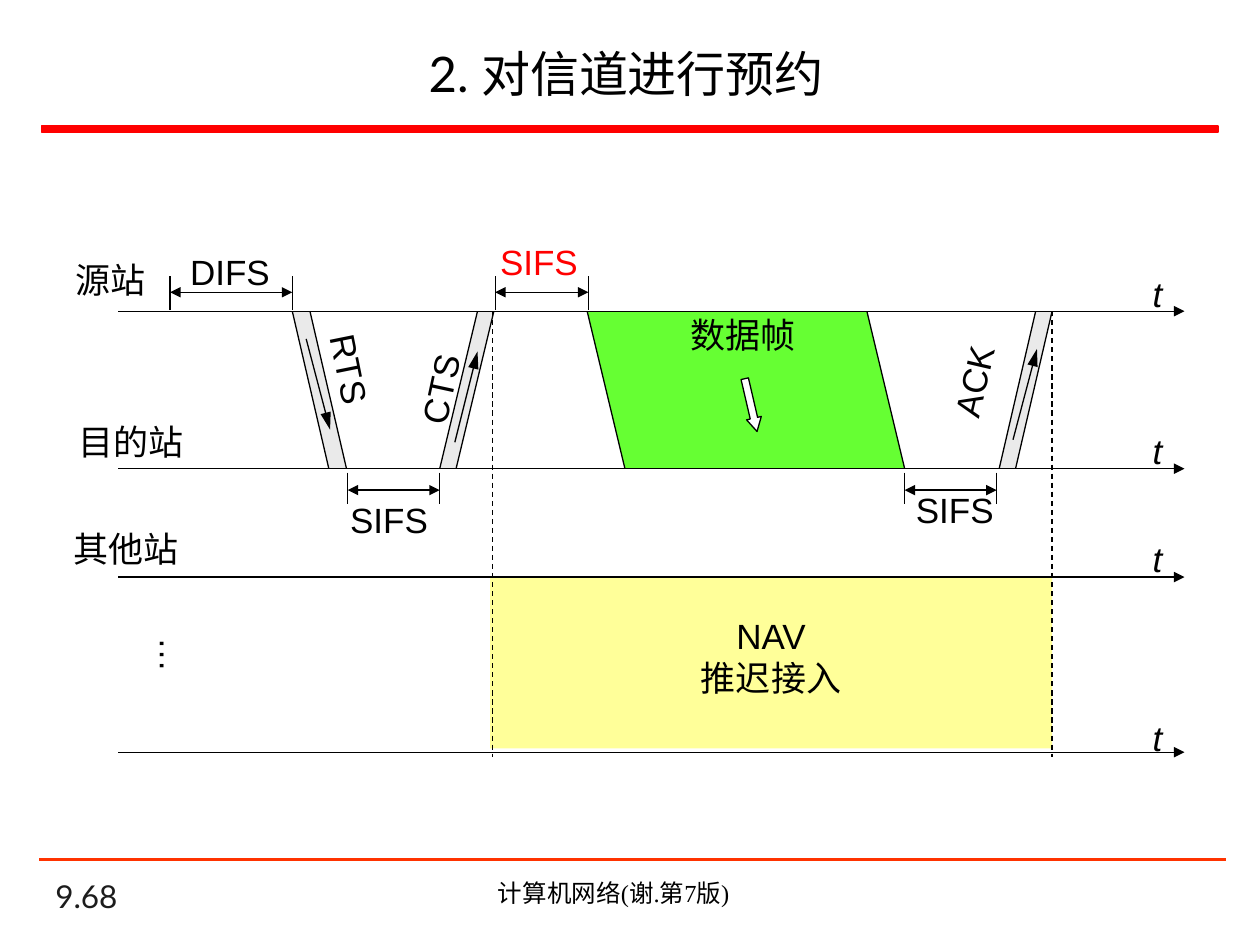
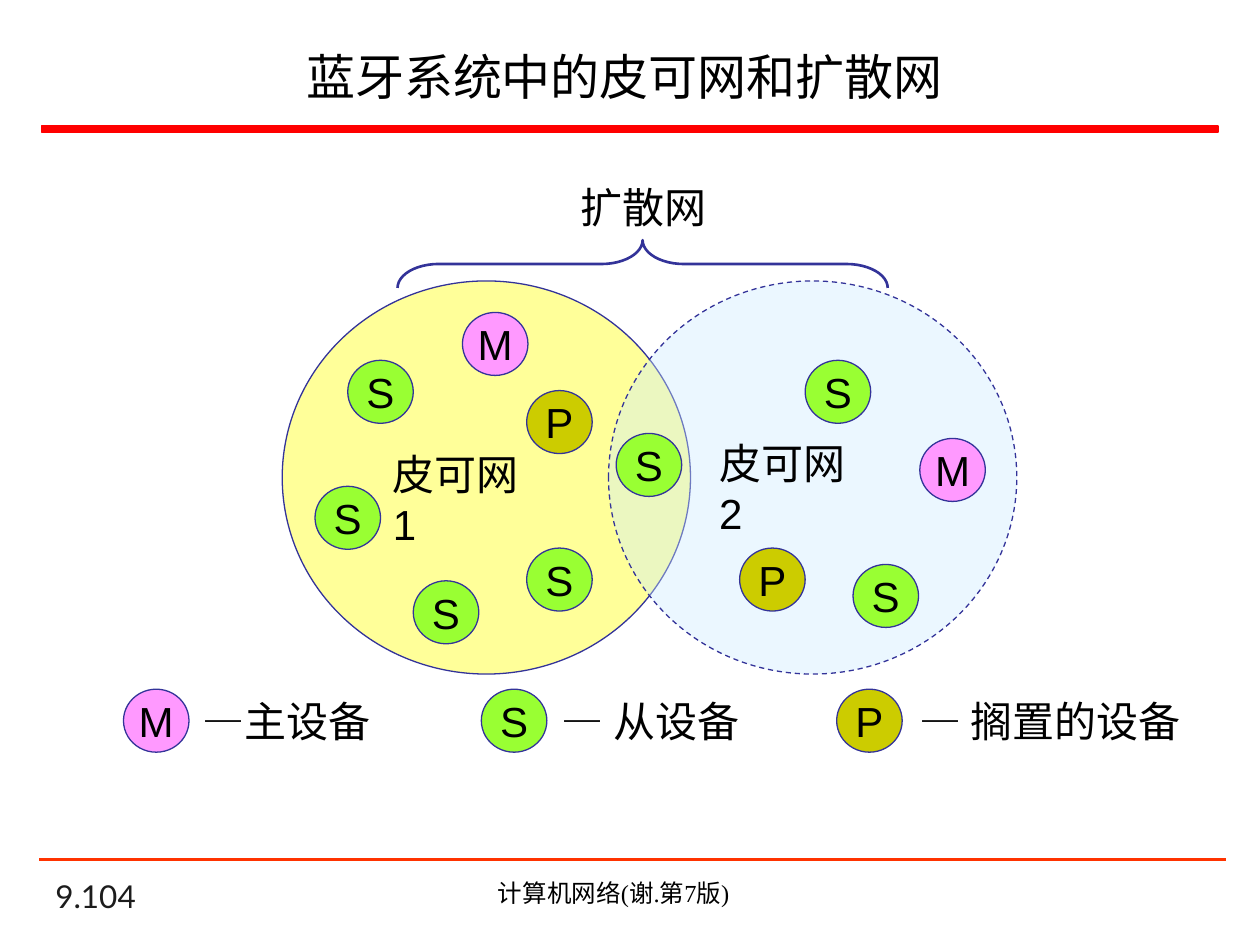
import pptx
import pptx.util
import pptx.dml.color
import pptx.enum.dml
import pptx.enum.shapes
import pptx.enum.text
import pptx.oxml.ns
from lxml import etree

Inches = pptx.util.Inches
Pt = pptx.util.Pt
qn = pptx.oxml.ns.qn
SHAPES = pptx.enum.shapes.MSO_SHAPE
ALIGN = pptx.enum.text.PP_ALIGN
ANCHOR = pptx.enum.text.MSO_ANCHOR
DASH = pptx.enum.dml.MSO_LINE.DASH

COLORS = {
    "black": "000000", "white": "FFFFFF", "red": "FF0000", "orange": "FF3300",
    "page": "1C1C1C", "navy": "333399", "yellow": "FFFF99", "sky": "CCECFF",
    "gray": "EAEAEA", "data": "66FF33",
    "M": "FF99FF", "S": "99FF33", "P": "CCCC00",
}
FOOTER = "计算机网络(谢.第7版)"
SOURCE, DESTINATION, OTHERS, LAST = 2.47, 3.72, 4.58, 5.97
NODE_WIDTH, NODE_HEIGHT = 0.52, 0.5


def rgb(name):
    return pptx.dml.color.RGBColor.from_string(COLORS[name])


def add_run(paragraph, text, size, font="Arial", color="black", italic=False):
    run = paragraph.add_run()
    run.text = text
    run.font.size = Pt(size)
    run.font.name = font
    run.font.italic = italic
    run.font.color.rgb = rgb(color)


def add_label(slide, box, text, size=20, font="Arial", color="black", italic=False,
              align=ALIGN.LEFT, rotation=0, wrap=False, anchor=ANCHOR.TOP):
    """Add a text box with one paragraph per line of text."""
    shape = slide.shapes.add_textbox(*map(Inches, box))
    shape.rotation = rotation
    frame = shape.text_frame
    frame.word_wrap = wrap
    frame.vertical_anchor = anchor
    if not wrap:
        frame.auto_size = pptx.enum.text.MSO_AUTO_SIZE.SHAPE_TO_FIT_TEXT
    for index, line in enumerate(text.split("\n")):
        paragraph = frame.add_paragraph() if index else frame.paragraphs[0]
        paragraph.alignment = align
        add_run(paragraph, line, size, font, color, italic)
    return shape


def add_line(slide, start, end, color="black", width=0.75, dash=False,
             head=False, tail=False, length="med"):
    """Draw a straight line; head and tail put arrowheads at start and end."""
    line = slide.shapes.add_connector(
        pptx.enum.shapes.MSO_CONNECTOR.STRAIGHT, *map(Inches, (*start, *end)))
    line.line.color.rgb = rgb(color)
    line.line.width = Pt(width)
    if dash:
        line.line.dash_style = DASH
    properties = line._element.spPr
    outline = properties.find(qn("a:ln"))
    for tag, wanted in (("a:headEnd", head), ("a:tailEnd", tail)):
        if wanted:
            etree.SubElement(outline, qn(tag), type="triangle", w="med", len=length)
    etree.SubElement(properties, qn("a:effectLst"))


def paint(shape, fill=None, line=None, width=0.75, dash=False):
    shape.shadow.inherit = False
    if fill:
        shape.fill.solid()
        shape.fill.fore_color.rgb = rgb(fill)
    else:
        shape.fill.background()
    if line:
        shape.line.color.rgb = rgb(line)
        shape.line.width = Pt(width)
        if dash:
            shape.line.dash_style = DASH
    else:
        shape.line.fill.background()


def add_shape(slide, kind, box, **style):
    shape = slide.shapes.add_shape(kind, *map(Inches, box))
    paint(shape, **style)
    return shape


def add_base_slide(presentation, title, title_box, page):
    """Add a title-only slide with the red band, the footer and its rule."""
    slide = presentation.slides.add_slide(presentation.slide_layouts[5])
    shape = slide.shapes.title
    shape.left, shape.top, shape.width, shape.height = map(Inches, title_box)
    shape.text_frame.vertical_anchor = ANCHOR.MIDDLE
    paragraph = shape.text_frame.paragraphs[0]
    paragraph.alignment = ALIGN.CENTER
    add_run(paragraph, title, 28, "Lato")
    add_shape(slide, SHAPES.RECTANGLE, (0.33, 1, 9.34, 0.05),
              fill="red", line="red", width=1)
    add_line(slide, (0.31, 6.82), (9.73, 6.82), "orange", 1.5)
    add_label(slide, (0.34, 6.98, 2.08, 0.33), page, 18, "Lato", "page",
              wrap=True, anchor=ANCHOR.BOTTOM)
    add_label(slide, (2.83, 6.92, 4.08, 0.34), FOOTER, 14, "Times New Roman",
              align=ALIGN.CENTER, wrap=True)
    return slide


def add_frame(slide, top_x, bottom_x, width, fill):
    """Draw a frame in transit between the source and destination axes."""
    corners = [(top_x, SOURCE), (top_x + width, SOURCE),
               (bottom_x + width, DESTINATION), (bottom_x, DESTINATION)]
    points = [(Inches(x), Inches(y)) for x, y in corners]
    builder = slide.shapes.build_freeform(*points[0])
    builder.add_line_segments(points[1:], close=True)
    paint(builder.convert_to_shape(), fill)
    for offset in (0, width):
        add_line(slide, (top_x + offset, SOURCE), (bottom_x + offset, DESTINATION))


def add_interval(slide, left, right, axis, text, label_at, color="black"):
    """Mark a waiting time, above the source axis or below the destination axis."""
    arrow, near, far = (-0.15, -0.01, -0.28) if axis == SOURCE else (0.17, 0.03, 0.28)
    for x in (left, right):
        add_line(slide, (x, axis + near), (x, axis + far))
    add_line(slide, (left, axis + arrow), (right, axis + arrow), head=True, tail=True)
    add_label(slide, (*label_at, 0.95, 0.43), text, color=color)


def add_node(slide, role, left, top):
    node = add_shape(slide, SHAPES.OVAL, (left, top, NODE_WIDTH, NODE_HEIGHT),
                     fill=role, line="navy")
    frame = node.text_frame
    frame.word_wrap = False
    frame.vertical_anchor = ANCHOR.MIDDLE
    frame.paragraphs[0].alignment = ALIGN.CENTER
    add_run(frame.paragraphs[0], role, 24)


def add_piconet(slide, left, fill, dash=False, opacity=None):
    circle = add_shape(slide, SHAPES.OVAL, (left, 2.23, 3.24, 3.12),
                       fill=fill, line="navy", dash=dash)
    if opacity:
        color = circle._element.spPr.find(qn("a:solidFill")).find(qn("a:srgbClr"))
        etree.SubElement(color, qn("a:alpha"), val=str(opacity * 1000))


def build_reservation_slide(presentation):
    slide = add_base_slide(presentation, "2. 对信道进行预约",
                           (0.34, 0.21, 9.26, 0.73), "9.68")
    add_shape(slide, SHAPES.RECTANGLE, (3.89, OTHERS, 4.46, 1.36), fill="yellow")
    for frame in ((4.66, 4.96, 2.22, "data"), (3.79, 3.49, 0.13, "gray"),
                  (2.32, 2.61, 0.14, "gray"), (8.22, 7.93, 0.13, "gray")):
        add_frame(slide, *frame)
    for axis in (SOURCE, DESTINATION, OTHERS, LAST):
        add_line(slide, (0.94, axis), (9.4, axis), tail=True)
        label_top = axis - (0.33 if axis == LAST else 0.36)
        add_label(slide, (9.05, label_top, 0.28, 0.43), "t", italic=True)
    for x in (3.91, 8.35):
        add_line(slide, (x, SOURCE), (x, 6.01), dash=True)

    add_interval(slide, 1.35, 2.32, SOURCE, "DIFS", (1.41, 1.94))
    add_interval(slide, 3.93, 4.67, SOURCE, "SIFS", (3.87, 1.86), "red")
    add_interval(slide, 2.76, 3.49, DESTINATION, "SIFS", (2.68, 3.91))
    add_interval(slide, 7.18, 7.91, DESTINATION, "SIFS", (7.17, 3.83))

    for start, end in (((2.43, 2.69), (2.62, 3.41)), ((3.61, 3.51), (3.79, 2.79)),
                       ((8.04, 3.49), (8.23, 2.77))):
        add_line(slide, start, end, tail=True, length="lg")
    data_arrow = add_shape(slide, SHAPES.DOWN_ARROW, (5.9, 3, 0.12, 0.43),
                           fill="white", line="black")
    data_arrow.rotation = 346.9
    data_arrow.adjustments[0], data_arrow.adjustments[1] = 0.5, 0.9

    for text, box in (("源站", (0.43, 2, 0.9, 0.43)),
                      ("目的站", (0.44, 3.29, 1.2, 0.43)),
                      ("其他站", (0.4, 4.14, 1.2, 0.43)),
                      ("数据帧", (5.3, 2.44, 1.2, 0.43)),
                      ("NAV\n推迟接入", (5.37, 4.83, 1.5, 0.77))):
        add_label(slide, box, text, align=ALIGN.CENTER)
    for text, box, rotation in (("RTS", (2.4, 2.72, 0.76, 0.43), 78.6),
                                ("CTS", (3.11, 2.87, 0.76, 0.43), 282.2),
                                ("ACK", (7.34, 2.81, 0.77, 0.43), 283),
                                ("…", (1.14, 4.99, 0.48, 0.43), 90)):
        add_label(slide, box, text, rotation=rotation)


def build_piconet_slide(presentation):
    slide = add_base_slide(presentation, "蓝牙系统中的皮可网和扩散网",
                           (0.31, 0.21, 9.29, 0.78), "9.104")
    add_piconet(slide, 2.24, "yellow")
    add_piconet(slide, 4.83, "sky", dash=True, opacity=39)
    nodes = {
        "M": [(3.67, 2.48), (7.3, 3.48)],
        "S": [(2.5, 3.86), (2.76, 2.86), (4.89, 3.44), (4.18, 4.35),
              (3.28, 4.61), (6.77, 4.48), (6.39, 2.86)],
        "P": [(5.87, 4.35), (4.18, 3.1)],
    }
    for role, places in nodes.items():
        for left, top in places:
            add_node(slide, role, left, top)

    add_label(slide, (4.51, 1.39, 1.21, 0.5), "扩散网", 24)
    add_label(slide, (3.02, 3.51, 1.4, 0.5), "皮可网 1", 24, wrap=True)
    add_label(slide, (5.61, 3.42, 1.4, 0.5), "皮可网 2", 24, wrap=True)
    brace = add_shape(slide, SHAPES.RIGHT_BRACE, (4.91, 0.15, 0.38, 3.89),
                      line="navy", width=1.5)
    brace.rotation = 270
    brace.adjustments[0], brace.adjustments[1] = 0.86, 0.5

    for role, left, label_left, width, dash, meaning in (
            ("M", 0.98, 1.51, 1.55, "—", "主设备"),
            ("S", 3.82, 4.36, 1.64, "— ", "从设备"),
            ("P", 6.64, 7.2, 2.32, "— ", "搁置的设备")):
        add_node(slide, role, left, 5.47)
        label = add_label(slide, (label_left, 5.47, width, 0.5), dash, 24)
        add_run(label.text_frame.paragraphs[0], meaning, 24, "Lato")


def main():
    presentation = pptx.Presentation()
    presentation.slide_width = Inches(10)
    presentation.slide_height = Inches(7.5)
    build_reservation_slide(presentation)
    build_piconet_slide(presentation)
    presentation.save("out.pptx")


if __name__ == "__main__":
    main()
